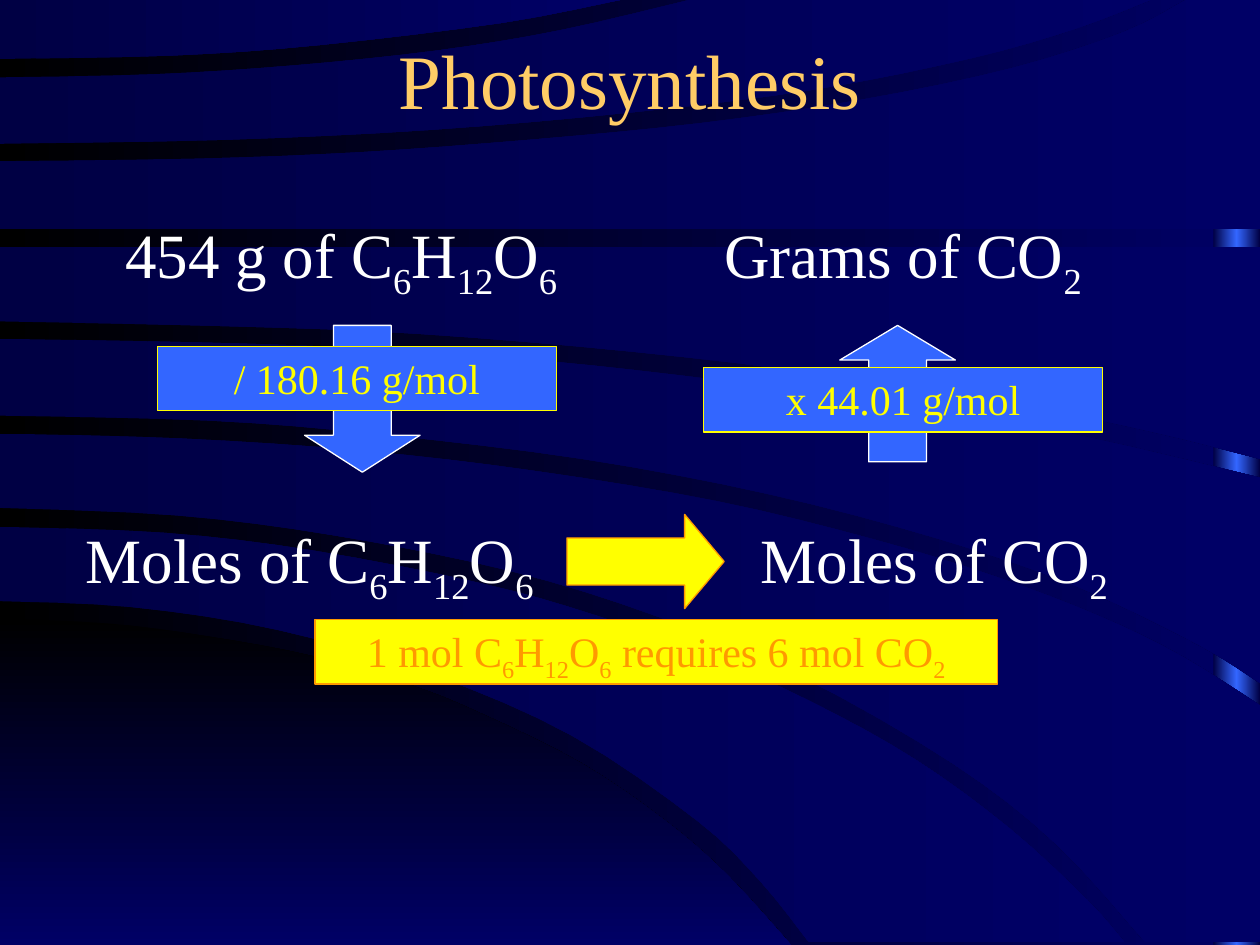
"""Build the photosynthesis stoichiometry slide."""
import copy

import pptx
import pptx.dml.color
import pptx.enum.shapes
import pptx.enum.text
import pptx.util

Cm = pptx.util.Cm
Pt = pptx.util.Pt
SHAPES = pptx.enum.shapes.MSO_SHAPE
WIDTH, HEIGHT = 25.4, 19.05
COLORS = {
    "black": "000000", "navy": "000066", "midnight": "000044", "blue": "3366FF",
    "yellow": "FFFF00", "orange": "FF9900", "gold": "FFCC66", "white": "FFFFFF",
}
GLUCOSE = "C|6|H|12|O|6|"
CARBON_DIOXIDE = "CO|2|"

CORNER_SWOOSH = [
    [(0, 12.47), (2.18, 12.57), (4.19, 12.83), (6.32, 13.23), (8.31, 13.82), (9.8, 14.43),
     (11.73, 15.39), (13.41, 16.54), (14.66, 17.63), (15.95, 19.05)],
    [(0, 19.05)],
]
SWOOSHES = [
    [[(0, 10.62), (3.3, 10.74), (6.32, 11.1), (9.7, 11.76), (11.99, 12.4), (14.25, 13.21),
      (16.36, 14.15), (18.47, 15.32), (20.37, 16.71), (21.92, 18.14), (22.68, 19)],
     [(16.31, 19), (15.34, 17.78), (14.05, 16.54), (11.53, 14.83), (8.69, 13.59),
      (5.61, 12.7), (2.67, 12.24), (0, 12.12)]],
    [[(0, 8.74), (3.66, 8.84), (7.34, 9.09), (10.82, 9.5), (14.48, 10.11), (17.6, 10.87),
      (20.04, 11.61), (22.17, 12.42), (23.83, 13.23), (25.4, 14.22)],
     [(25.4, 19)],
     [(23.09, 19), (21.29, 17.02), (19.2, 15.39), (16.15, 13.64), (13.23, 12.42),
      (10.29, 11.51), (6.78, 10.8), (3.56, 10.39), (0, 10.24)]],
    [[(0, 6.83), (4.27, 6.91), (7.65, 7.04), (11.13, 7.29), (14.38, 7.65), (18.14, 8.13),
      (21.82, 8.79), (25.4, 9.63)],
     [(25.4, 13.77), (24.16, 13), (21.67, 11.81), (18.87, 10.85), (15.49, 9.96),
      (11.73, 9.25), (7.7, 8.76), (4.24, 8.48), (0, 8.38)]],
    [[(0, 4.98), (25.4, 4.98)],
     [(25.4, 9.25), (23.24, 8.71), (20.65, 8.18), (16.81, 7.57), (12.75, 7.09),
      (8.43, 6.73), (4.72, 6.58), (0, 6.48)]],
    [[(0, 3.25), (3.99, 3.2), (7.26, 3.07), (10.67, 2.82), (14.07, 2.49), (17.37, 2.01),
      (20.4, 1.37), (22.66, 0.64), (23.9, 0)],
     [(25.4, 0)], [(25.4, 4.62)], [(0, 4.62)]],
    [[(0, 1.56), (3.07, 1.5), (5.92, 1.32), (8.81, 1.02), (11.3, 0.61), (13.9, 0)],
     [(23.2, 0), (21.69, 0.58), (19.61, 1.17), (16.46, 1.8), (12.8, 2.26), (8.66, 2.62),
      (4.5, 2.82), (0, 2.9)]],
    [[(0, 0)],
     [(12.5, 0), (10.13, 0.46), (6.43, 0.91), (3.48, 1.12), (0, 1.19)]],
]


def rgb(name):
    return pptx.dml.color.RGBColor.from_string(COLORS[name])


def smooth(knots, steps=4):
    if len(knots) < 3:
        return knots
    points = []
    padded = [knots[0], *knots, knots[-1]]
    for a, b, c, d in zip(padded, padded[1:], padded[2:], padded[3:]):
        for step in range(steps):
            t = step / steps
            points.append(tuple(
                q + t * (r - p) / 2 + t**2 * (2 * p - 5 * q + 4 * r - s) / 2
                + t**3 * (3 * q - p - 3 * r + s) / 2
                for p, q, r, s in zip(a, b, c, d)))
    return points + [knots[-1]]


def fill_gradient(fill, names, angle=0):
    fill.gradient()
    fill.gradient_angle = angle
    first = fill.gradient_stops[0]._gs
    for _ in names[2:]:
        first.addnext(copy.deepcopy(first))
    for index, (stop, name) in enumerate(zip(fill.gradient_stops, names)):
        stop.position = index / (len(names) - 1)
        stop.color.rgb = rgb(name)


class SlideBuilder:
    def __init__(self, slide, font="Times New Roman"):
        self.slide = slide
        self.font = font

    def typeset(self, shape, text, size, color, anchor="TOP"):
        frame = shape.text_frame
        frame.word_wrap = True
        frame.vertical_anchor = pptx.enum.text.MSO_ANCHOR[anchor]
        paragraph = frame.paragraphs[0]
        paragraph.alignment = pptx.enum.text.PP_ALIGN.CENTER
        for index, piece in enumerate(text.rstrip("|").split("|")):
            run = paragraph.add_run()
            run.text = piece
            run.font.name = self.font
            run.font.size = Pt(size)
            run.font.color.rgb = rgb(color)
            if index % 2:
                run.font._element.set("baseline", "-25000")

    def label(self, left, top, width, height, text, size=36, color="white", anchor="TOP"):
        box = self.slide.shapes.add_textbox(Cm(left), Cm(top), Cm(width), Cm(height))
        self.typeset(box, text, size, color, anchor)

    def block(self, kind, left, top, width, height, fill, line):
        shape = self.slide.shapes.add_shape(kind, Cm(left), Cm(top), Cm(width), Cm(height))
        shape.shadow.inherit = False
        shape.fill.solid()
        shape.fill.fore_color.rgb = rgb(fill)
        shape.line.color.rgb = rgb(line)
        shape.line.width = Pt(0.75)
        return shape

    def arrow(self, kind, left, top, width, height, head, fill, line):
        shape = self.block(kind, left, top, width, height, fill, line)
        shape.adjustments[0] = 0.5
        shape.adjustments[1] = head

    def factor(self, left, top, width, text, fill, accent):
        shape = self.block(SHAPES.RECTANGLE, left, top, width, 1.3, fill, accent)
        self.typeset(shape, text, 24, accent)

    def swoosh(self, edges, names, angle=0):
        points = [(Cm(x), Cm(y)) for edge in edges for x, y in smooth(edge)]
        builder = self.slide.shapes.build_freeform(*points[0])
        builder.add_line_segments(points[1:], close=True)
        self.decorate(builder.convert_to_shape(), names, angle)

    def strip(self, left, width, names):
        shape = self.slide.shapes.add_shape(
            SHAPES.RECTANGLE, Cm(left), Cm(0), Cm(width), Cm(HEIGHT))
        self.decorate(shape, names, 0)

    def decorate(self, shape, names, angle):
        shape.shadow.inherit = False
        shape.line.fill.background()
        fill_gradient(shape.fill, names, angle)


def main():
    presentation = pptx.Presentation()
    presentation.slide_width, presentation.slide_height = Cm(WIDTH), Cm(HEIGHT)
    slide = presentation.slides.add_slide(presentation.slide_layouts[6])
    fill_gradient(slide.background.fill, ["black", "navy"])
    builder = SlideBuilder(slide)

    builder.strip(24.46, 0.94, ["midnight", "blue", "midnight"])
    builder.swoosh(CORNER_SWOOSH, ["black", "navy"], 270)
    for edges in SWOOSHES:
        builder.swoosh(edges, ["midnight", "navy"])

    builder.label(1.9, 0, 21.6, 3.17, "Photosynthesis", 44, "gold", "MIDDLE")
    builder.label(1.9, 4.23, 9.96, 1.78, "454 g of " + GLUCOSE)
    builder.label(13.55, 4.23, 9.31, 1.78, "Grams of " + CARBON_DIOXIDE)
    builder.label(1.06, 10.37, 10.37, 1.78, "Moles of " + GLUCOSE)
    builder.label(14.18, 10.37, 9.31, 1.78, "Moles of " + CARBON_DIOXIDE)

    builder.arrow(SHAPES.DOWN_ARROW, 6.14, 6.56, 2.33, 2.96, 0.32, "blue", "white")
    builder.arrow(SHAPES.RIGHT_ARROW, 11.43, 10.37, 3.17, 1.9, 0.42, "yellow", "orange")
    builder.arrow(SHAPES.UP_ARROW, 16.93, 6.56, 2.33, 2.75, 0.3, "blue", "white")

    builder.factor(3.17, 6.98, 8.05, "/ 180.16 g/mol", "blue", "yellow")
    builder.factor(6.35, 12.49, 13.76, "1 mol " + GLUCOSE + " requires 6 mol " + CARBON_DIOXIDE,
                   "yellow", "orange")
    builder.factor(14.18, 7.41, 8.05, "x 44.01 g/mol", "blue", "yellow")
    presentation.save("out.pptx")


if __name__ == "__main__":
    main()
